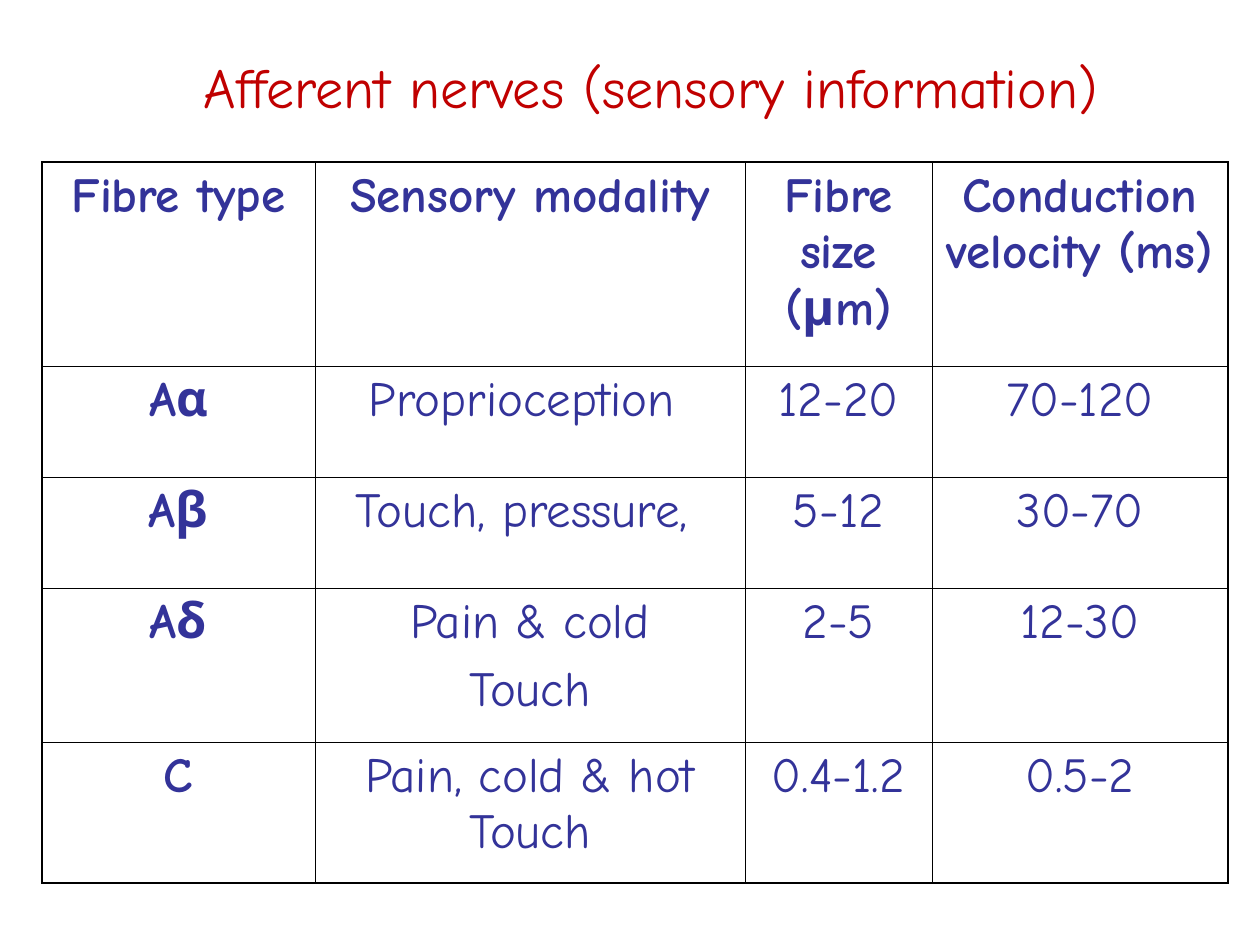
import dataclasses
import lxml.etree
import pptx
import pptx.dml.color
import pptx.enum.text
import pptx.oxml.ns
import pptx.util

SCALE = 914400 / 126
FONT = "Comic Neue"
RED, BLUE, BLACK = "C00000", "333399", "000000"
THICK, THIN = 1.08, 0.45
COLS = (273, 430, 187, 296)
ROWS = (204, 111, 111, 154, 141)
DATA = (
    ("Fibre type", "Sensory modality", "Fibre size (μm)", "Conduction velocity (ms)"),
    ("Aα", "Proprioception ", "12-20", "70-120"),
    ("Aβ", "Touch, pressure, ", "5-12", "30-70"),
    ("Aδ", "Pain & cold\nTouch", "2-5", "12-30"),
    ("C", "Pain, cold & hot Touch", "0.4-1.2", "0.5-2"),
)


@dataclasses.dataclass
class Style:
    size: int
    hue: str
    bold: bool = False


def px(num: int) -> int:
    return round(num * SCALE)


def tint(hue: str) -> pptx.dml.color.RGBColor:
    return pptx.dml.color.RGBColor.from_string(hue)


def write(frame, text: str, style: Style) -> None:
    frame.text = text
    frame.word_wrap = True
    for rank, para in enumerate(frame.paragraphs):
        para.alignment = pptx.enum.text.PP_ALIGN.CENTER
        para.space_before = pptx.util.Pt(7 if rank else 0)
        for run in para.runs:
            run.font.name = FONT
            run.font.size = pptx.util.Pt(style.size)
            run.font.bold = style.bold
            run.font.color.rgb = tint(style.hue)


def edge(cell, side: str, width: float) -> None:
    name = pptx.oxml.ns.qn
    props = cell._tc.get_or_add_tcPr()
    line = lxml.etree.SubElement(props, name("a:ln" + side), w=str(pptx.util.Pt(width)))
    fill = lxml.etree.SubElement(line, name("a:solidFill"))
    lxml.etree.SubElement(fill, name("a:srgbClr"), val=BLACK)


def title(slide) -> None:
    box = slide.shapes.add_textbox(px(84), px(25), px(1134), px(122))
    box.text_frame.vertical_anchor = pptx.enum.text.MSO_ANCHOR.MIDDLE
    write(box.text_frame, "Afferent nerves (sensory information)", Style(32, RED))


def grid(slide) -> None:
    table = slide.shapes.add_table(
        len(ROWS), len(COLS), px(42), px(162), px(sum(COLS)), px(sum(ROWS))
    ).table
    table.first_row = table.horz_banding = False
    for col, width in zip(table.columns, COLS):
        col.width = px(width)
    for row, height in zip(table.rows, ROWS):
        row.height = px(height)
    for y, texts in enumerate(DATA):
        for x, text in enumerate(texts):
            cell = table.cell(y, x)
            write(cell.text_frame, text, Style(28, BLUE, x == 0 or y == 0))
            rims = {
                "L": x == 0,
                "R": x == len(COLS) - 1,
                "T": y == 0,
                "B": y == len(ROWS) - 1,
            }
            for side, rim in rims.items():
                edge(cell, side, THICK if rim else THIN)
            cell.fill.background()


def main() -> None:
    deck = pptx.Presentation()
    deck.slide_width, deck.slide_height = px(1260), px(945)
    slide = deck.slides.add_slide(deck.slide_layouts[6])
    title(slide)
    grid(slide)
    deck.save("out.pptx")


if __name__ == "__main__":
    main()
